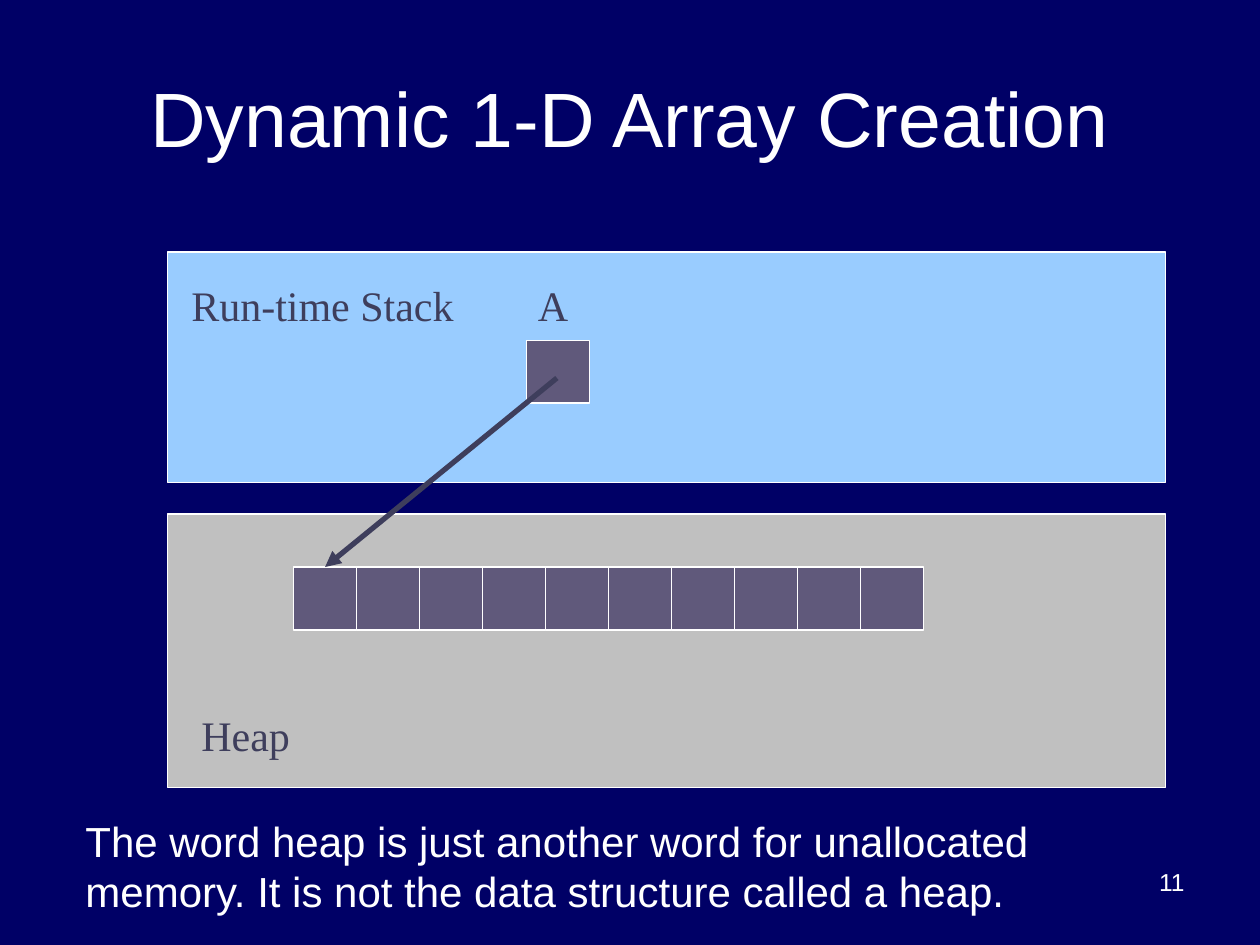
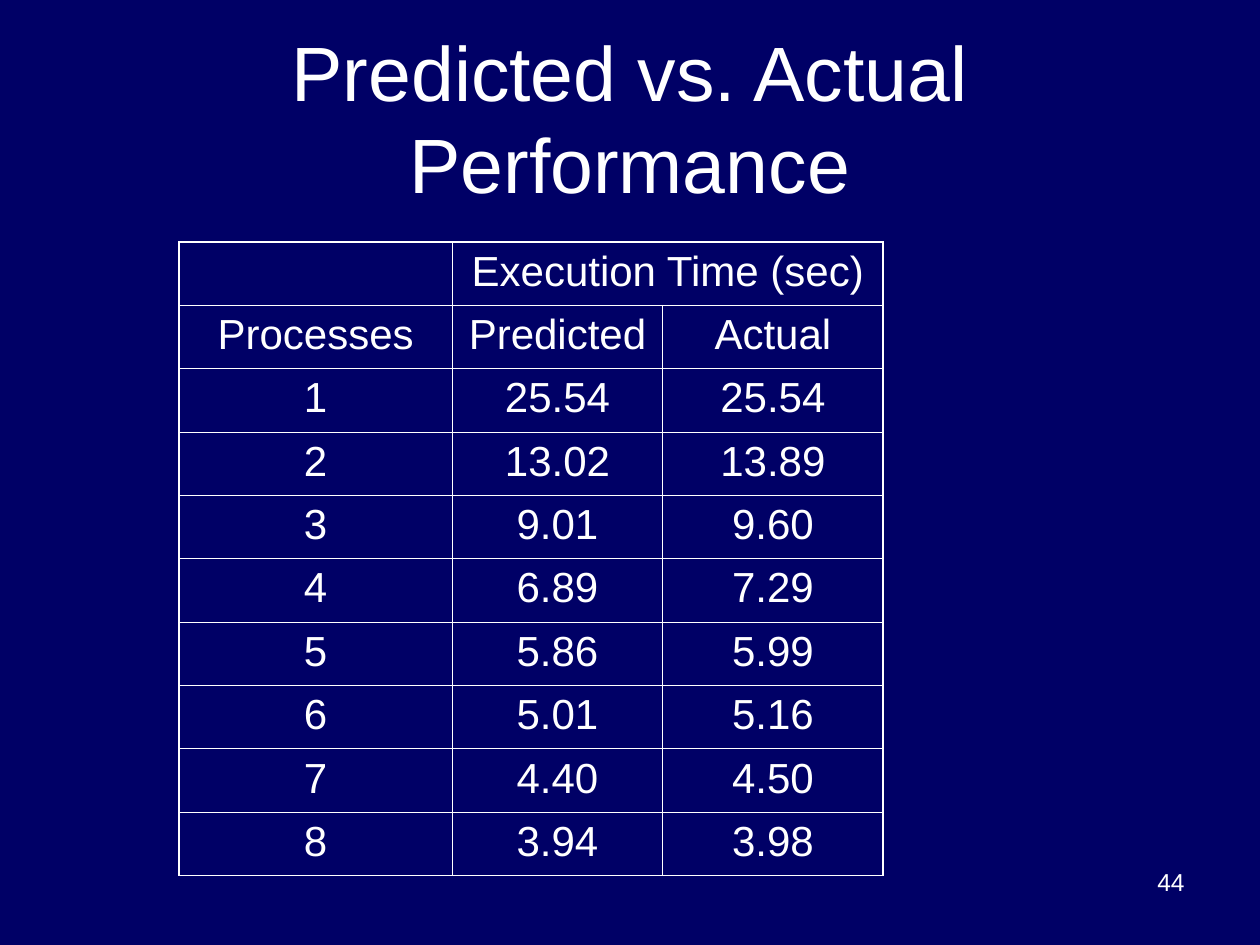
from lxml.etree import SubElement
from pptx import Presentation
from pptx.dml.color import RGBColor
from pptx.enum.shapes import MSO_CONNECTOR as LINK, MSO_SHAPE as SHAPE
from pptx.enum.text import MSO_ANCHOR as ANCHOR, PP_ALIGN as ALIGN
from pptx.oxml import parse_xml
from pptx.oxml.ns import nsdecls, qn
from pptx.util import Inches, Pt

NAVY = RGBColor(0x00, 0x00, 0x66)
WHITE = RGBColor(0xFF, 0xFF, 0xFF)
SKY = RGBColor(0x99, 0xCC, 0xFF)
GREY = RGBColor(0xC0, 0xC0, 0xC0)
PLUM = RGBColor(0x60, 0x59, 0x7B)
INK = RGBColor(0x3E, 0x3E, 0x5C)

SANS, SERIF = "Arial", "Times New Roman"
CELL = 0.5
COUNT = 10
WIDTHS = (2.17, 1.67, 1.75)
THIN, THICK = 0.45, 1.08
ROWS = (
    ("", "Execution Time (sec)", ""),
    ("Processes", "Predicted", "Actual"),
    ("1", "25.54", "25.54"),
    ("2", "13.02", "13.89"),
    ("3", "9.01", "9.60"),
    ("4", "6.89", "7.29"),
    ("5", "5.86", "5.99"),
    ("6", "5.01", "5.16"),
    ("7", "4.40", "4.50"),
    ("8", "3.94", "3.98"),
)


def style(para, size, color=WHITE, face=SANS, align=ALIGN.LEFT):
    """Set the alignment and font of a paragraph."""
    para.alignment = align
    font = para.font
    font.size, font.name = Pt(size), face
    font.color.rgb = color


def write(slide, text, box, size, wrap=True, anchor=ANCHOR.TOP, **look):
    """Add a styled text box."""
    frame = slide.shapes.add_textbox(*map(Inches, box)).text_frame
    frame.word_wrap = wrap
    frame.vertical_anchor = anchor
    frame.text = text
    style(frame.paragraphs[0], size, **look)


def label(slide, text, box):
    """Add a serif label in dark ink."""
    write(slide, text, box, 24, wrap=False, color=INK, face=SERIF)


def block(slide, box, color):
    """Add a filled rectangle with a thin white outline."""
    rect = slide.shapes.add_shape(SHAPE.RECTANGLE, *map(Inches, box))
    rect.shadow.inherit = False
    rect.fill.solid()
    rect.fill.fore_color.rgb = color
    rect.line.color.rgb = WHITE
    rect.line.width = Pt(0.75)
    return rect


def start(deck, title, number):
    """Add a navy slide with its title and number."""
    slide = deck.slides.add_slide(deck.slide_layouts[6])
    fill = slide.background.fill
    fill.solid()
    fill.fore_color.rgb = NAVY
    write(slide, title, (0.5, 0.3, 9, 1.25), 44,
          anchor=ANCHOR.MIDDLE, align=ALIGN.CENTER)
    write(slide, str(number), (7.17, 6.83, 2.33, 0.52), 14, align=ALIGN.RIGHT)
    return slide


def stack(slide, left, top, width, height):
    """Draw the run-time stack and return the middle of its pointer."""
    block(slide, (left, top, width, height), SKY)
    label(slide, "Run-time Stack", (left + 0.09, top + 0.17, 2.28, 0.5))
    label(slide, "A", (left + 2.84, top + 0.17, 0.44, 0.5))
    block(slide, (left + 2.85, top + 0.7, CELL, CELL), PLUM)
    return left + 3.09, top + 1


def heap(slide, left, top, width, height):
    """Draw the heap with its array and return the first cell."""
    block(slide, (left, top, width, height), GREY)
    label(slide, "Heap", (left + 0.17, top + 1.5, 0.9, 0.5))
    cells = [block(slide, (left + 1 + i * CELL, top + 0.42, CELL, CELL), PLUM)
             for i in range(COUNT)]
    return cells[0]


def arrow(slide, tip, goal):
    """Draw an arrow from a point to the top of a cell."""
    x, y = map(Inches, tip)
    link = slide.shapes.add_connector(LINK.STRAIGHT, x, y, x, y)
    link.end_connect(goal, 0)
    link.line.color.rgb = INK
    link.line.width = Pt(3)
    SubElement(link.line._get_or_add_ln(), qn("a:tailEnd"), type="triangle")
    SubElement(link._element.spPr, qn("a:effectLst"))


def border(cell, widths):
    """Give a cell white left, right, top and bottom borders."""
    props = cell._tc.get_or_add_tcPr()
    for i, (side, width) in enumerate(zip("LRTB", widths)):
        props.insert(i, parse_xml(
            f'<a:ln{side} {nsdecls("a")} w="{Pt(width)}"><a:solidFill>'
            f'<a:srgbClr val="{WHITE}"/></a:solidFill></a:ln{side}>'))


def times(slide, left, top, height):
    """Add the table of execution times."""
    last, end = len(ROWS) - 1, len(WIDTHS) - 1
    frame = slide.shapes.add_table(
        len(ROWS), len(WIDTHS), Inches(left), Inches(top),
        Inches(sum(WIDTHS)), Inches(height))
    table = frame.table
    table.first_row = table.horz_banding = False
    for col, width in zip(table.columns, WIDTHS):
        col.width = Inches(width)
    table.cell(0, 1).merge(table.cell(0, 2))
    for r, row in enumerate(ROWS):
        for c, text in enumerate(row):
            cell = table.cell(r, c)
            cell.fill.background()
            right = c == end or (r == 0 and c == 1)
            edges = (c == 0, right, r == 0, r == last)
            border(cell, [THICK if edge else THIN for edge in edges])
            cell.text_frame.text = text
            style(cell.text_frame.paragraphs[0], 24, align=ALIGN.CENTER)


def memory(deck):
    """Build the slide on array creation."""
    slide = start(deck, "Dynamic 1-D Array Creation", 11)
    tip = stack(slide, 1.33, 2, 7.92, 1.83)
    goal = heap(slide, 1.33, 4.08, 7.92, 2.17)
    arrow(slide, tip, goal)
    write(slide, "The word heap is just another word for unallocated memory. "
          "It is not the data structure called a heap.",
          (0.58, 6.42, 9, 0.9), 24)


def results(deck):
    """Build the slide on performance."""
    slide = start(deck, "Predicted vs. Actual Performance", 44)
    times(slide, 1.42, 1.92, 5.03)


def main():
    """Build and save the deck."""
    deck = Presentation()
    deck.slide_width, deck.slide_height = Inches(10), Inches(7.5)
    memory(deck)
    results(deck)
    deck.save("out.pptx")


if __name__ == "__main__":
    main()
